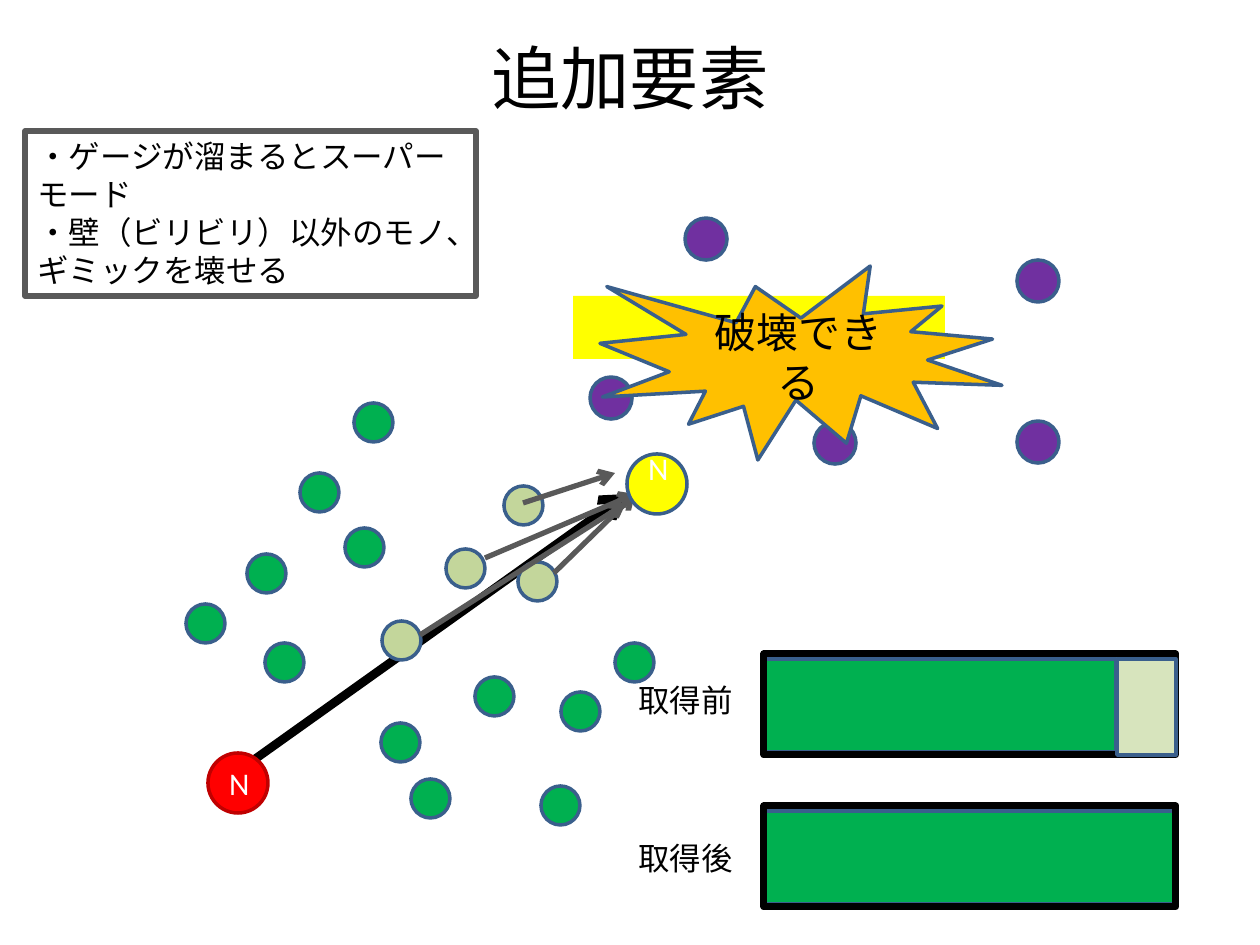
import pptx
import pptx.dml.color
import pptx.enum.shapes
import pptx.enum.text
import pptx.oxml.ns
import pptx.util
from lxml import etree

SCALE = 914400 / 126
FONT = "Calibri"
EDGE = "3A5F8C"
GREEN = "00B050"
PALE = "C3D69B"
GREY = "595959"
SHAPE = pptx.enum.shapes.MSO_SHAPE
ALIGN = pptx.enum.text.PP_ALIGN
ANCHOR = pptx.enum.text.MSO_ANCHOR


def px(n):
    """Turn px into EMU."""
    return pptx.util.Emu(round(n * SCALE))


def rgb(value):
    """Turn a hex string into a colour."""
    return pptx.dml.color.RGBColor.from_string(value)


def put_text(sp, lines, size, color="000000", align=ALIGN.CENTER, anchor=ANCHOR.MIDDLE):
    """Write one paragraph per line into a shape."""
    tf = sp.text_frame
    tf.word_wrap = True
    tf.vertical_anchor = anchor
    tf.text = "\n".join(lines)
    for p in tf.paragraphs:
        p.alignment = align
        p.font.name = FONT
        p.font.size = pptx.util.Pt(size)
        p.font.color.rgb = rgb(color)


def add_label(slide, x, y, w, h, text, size, anchor=ANCHOR.TOP):
    """Add a centred text box."""
    sp = slide.shapes.add_textbox(px(x), px(y), px(w), px(h))
    put_text(sp, [text], size, anchor=anchor)


def add_figure(slide, kind, x, y, w, h, fill=None, line=EDGE, width=2):
    """Add a preset shape with an optional fill and outline."""
    sp = slide.shapes.add_shape(kind, px(x), px(y), px(w), px(h))
    sp.shadow.inherit = False
    if fill:
        sp.fill.solid()
        sp.fill.fore_color.rgb = rgb(fill)
    else:
        sp.fill.background()
    if line:
        sp.line.color.rgb = rgb(line)
        sp.line.width = pptx.util.Pt(width)
    else:
        sp.line.fill.background()
    return sp


def add_arrow(slide, x1, y1, x2, y2, color=GREY, width=3):
    """Add a straight arrow pointing at its second end."""
    cx = slide.shapes.add_connector(
        pptx.enum.shapes.MSO_CONNECTOR.STRAIGHT, px(x1), px(y1), px(x2), px(y2))
    cx.line.color.rgb = rgb(color)
    cx.line.width = pptx.util.Pt(width)
    ln = cx.line._get_or_add_ln()
    etree.SubElement(ln, pptx.oxml.ns.qn("a:tailEnd"), type="arrow")
    etree.SubElement(cx._element.spPr, pptx.oxml.ns.qn("a:effectLst"))


def add_note(slide, x, y, w, h):
    """Place the framed note on the super mode."""
    sp = add_figure(slide, SHAPE.RECTANGLE, x, y, w, h, line=GREY, width=3)
    lines = ["・ゲージが溜まるとスーパーモード", "・壁（ビリビリ）以外のモノ、ギミックを壊せる"]
    put_text(sp, lines, 18, align=ALIGN.LEFT, anchor=ANCHOR.TOP)


def add_field(slide, x, y):
    """Place the orbs, the path between both N nodes and the pull arrows."""
    add_arrow(slide, x + 65, y + 359, x + 441, y + 91, "000000", 5)
    orbs = {
        GREEN: [(159, 125), (61, 151), (79, 240), (429, 240), (195, 320), (225, 376),
                (355, 383), (375, 289), (168, 0), (114, 70), (0, 201), (289, 274)],
        PALE: [(332, 159), (318, 83), (260, 146), (196, 218)],
    }
    for color, spots in orbs.items():
        for dx, dy in spots:
            add_figure(slide, SHAPE.OVAL, x + dx, y + dy, 39, 39, color)
    pulls = [(337, 100, 429, 70), (299, 155, 449, 91),
             (368, 170, 449, 91), (234, 232, 440, 100)]
    for x1, y1, x2, y2 in pulls:
        add_arrow(slide, x + x1, y + y1, x + x2, y + y2)
    nodes = [(22, 350, "FF0000", "C00000", 6), (441, 51, "FFFF00", EDGE, 38)]
    for dx, dy, fill, line, bottom in nodes:
        sp = add_figure(slide, SHAPE.OVAL, x + dx, y + dy, 60, 60, fill, line)
        put_text(sp, ["N"], 18, "FFFFFF")
        sp.text_frame.margin_bottom = px(bottom)


def add_gauge(slide, x, y, label, label_dy, filled, gain):
    """Place a labelled gauge with its filled part and the part to be gained."""
    add_label(slide, x, y + label_dy, 149, 50, label, 18)
    left = x + 153
    add_figure(slide, SHAPE.RECTANGLE, left, y + 5, filled, 93, GREEN)
    add_figure(slide, SHAPE.RECTANGLE, left, y, 412, 101, line="000000", width=4)
    if gain:
        add_figure(slide, SHAPE.RECTANGLE, left + 412 - gain, y + 5, gain, 96, "D7E4BD")


def add_barrier(slide, x, y):
    """Place the wall, the purple orbs and the burst."""
    add_figure(slide, SHAPE.RECTANGLE, x, y + 78, 372, 63, "FFFF00", None)
    for dx, dy in [(241, 204), (444, 42), (112, 0), (444, 203), (17, 159)]:
        add_figure(slide, SHAPE.OVAL, x + dx, y + dy, 42, 42, "7030A0")
    sp = add_figure(slide, SHAPE.EXPLOSION1, x + 27, y + 48, 402, 194, "FFC000")
    put_text(sp, ["破壊できる"], 24)


def main():
    """Build the slide and save it."""
    prs = pptx.Presentation()
    prs.slide_width, prs.slide_height = px(1260), px(945)
    slide = prs.slides.add_slide(prs.slide_layouts[6])
    add_label(slide, 63, 38, 1134, 77, "追加要素", 39.6, ANCHOR.MIDDLE)
    add_field(slide, 186, 403)
    add_note(slide, 25, 131, 451, 165)
    add_gauge(slide, 611, 654, "取得前", 21, 352, 59)
    add_gauge(slide, 611, 806, "取得後", 27, 412, 0)
    add_barrier(slide, 573, 218)
    prs.save("out.pptx")


if __name__ == "__main__":
    main()
